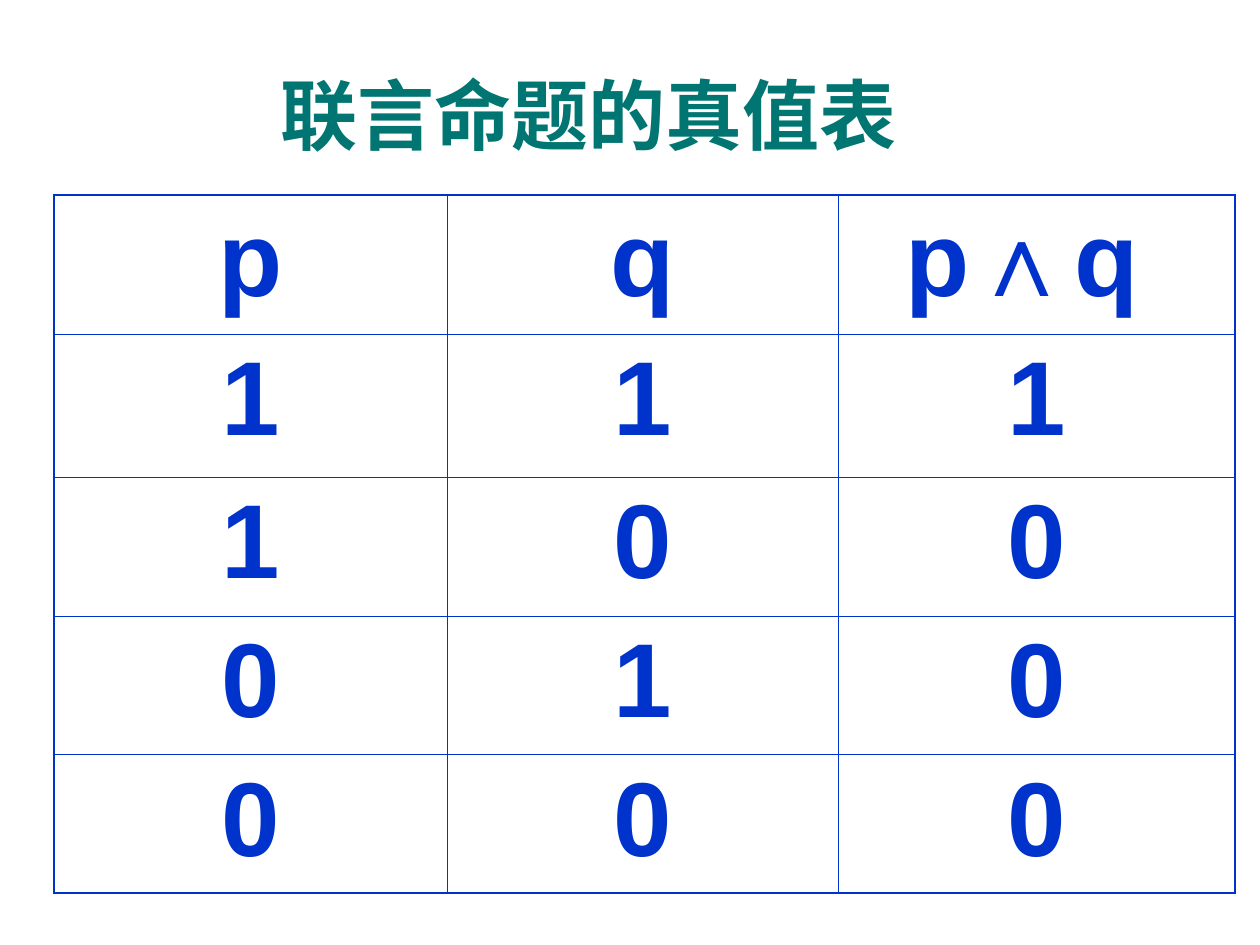
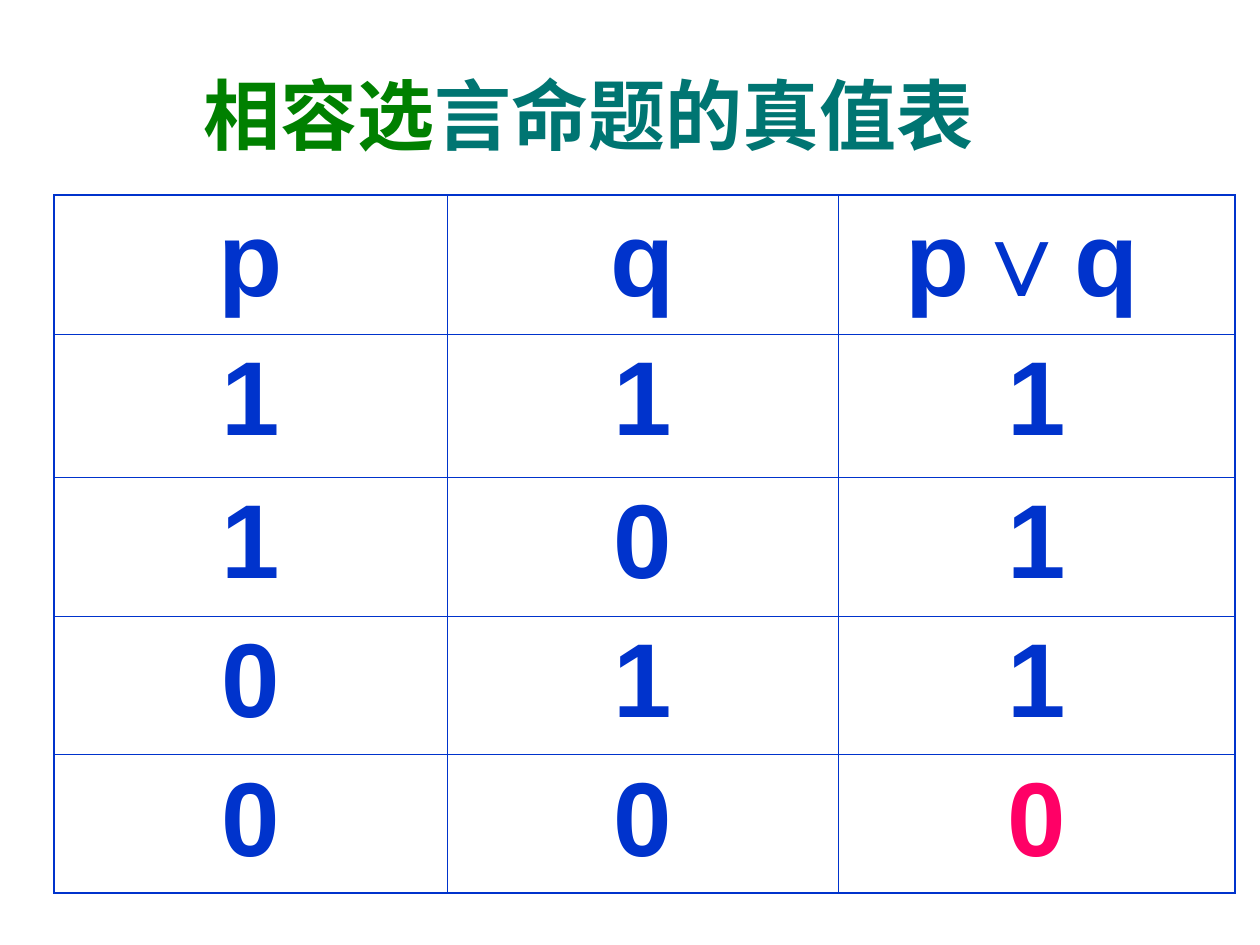
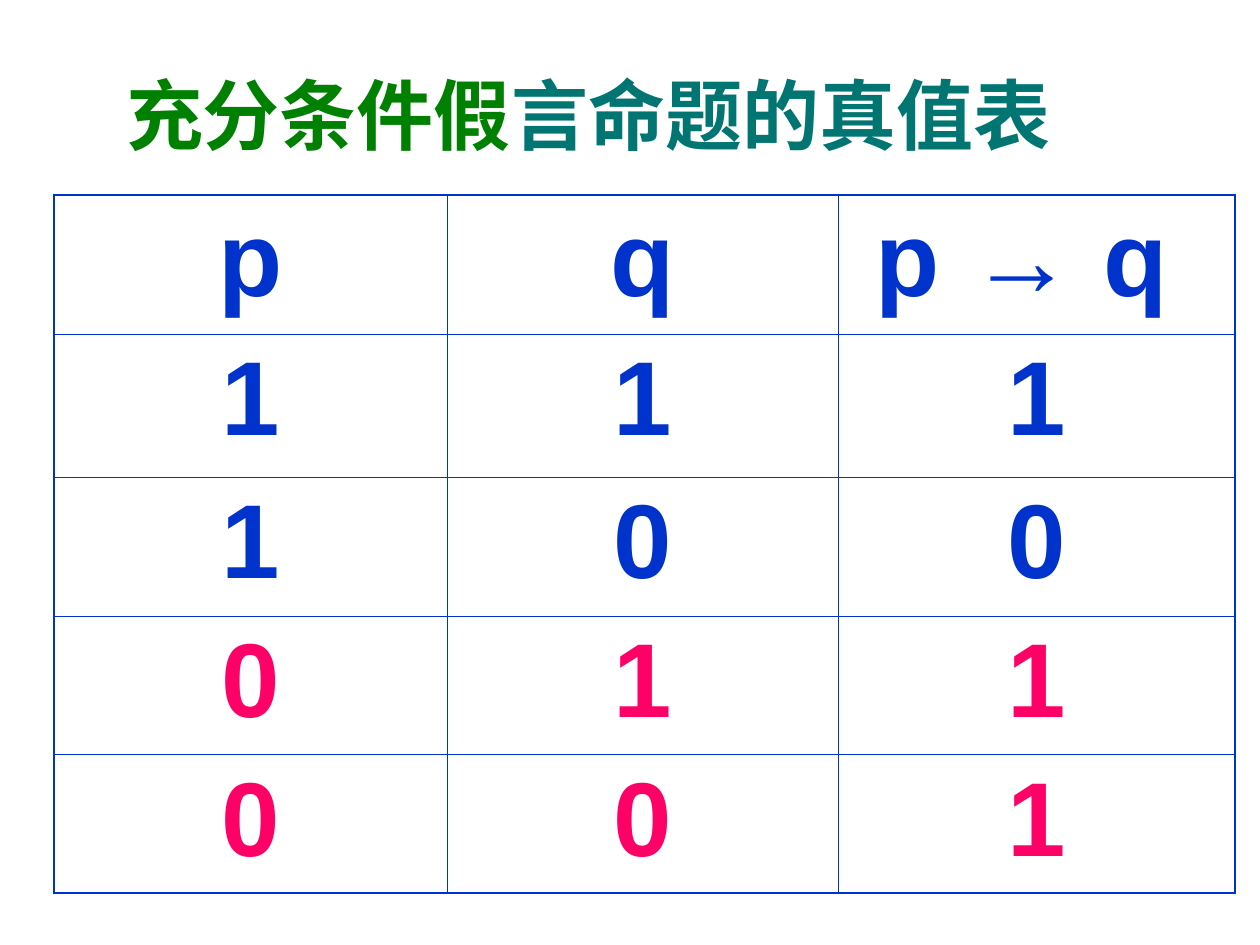
from itertools import product

from lxml import etree
from pptx import Presentation
from pptx.dml.color import RGBColor
from pptx.enum.text import MSO_ANCHOR, MSO_AUTO_SIZE, PP_ALIGN
from pptx.oxml.ns import qn
from pptx.util import Inches, Pt

TEAL = RGBColor(0x00, 0x75, 0x72)
GREEN = RGBColor(0x00, 0x80, 0x00)
BLUE = RGBColor(0x00, 0x33, 0xCC)
PINK = RGBColor(0xFF, 0x00, 0x66)

FONT = "Arial"
COLUMN_WIDTHS = [3.12, 3.1, 3.15]
ROW_HEIGHTS = [1.1, 1.14, 1.1, 1.1, 1.1]
TABLE_LEFT, TABLE_TOP = 0.43, 1.55
INNER_LINE, OUTER_LINE = Pt(0.45), Pt(1.08)

TITLE_ENDING = "言命题的真值表"
# Title start and its colour, compound formula, its truth function, pink (row, column) cells
TRUTH_TABLES = [
    ("联", TEAL, "p∧q ", min, set()),
    ("相容选", GREEN, "p∨q ", max, {(4, 2)}),
    ("充分条件假", GREEN, "p → q ", lambda p, q: max(1 - p, q),
     set(product((3, 4), range(3)))),
]


def add_text(paragraph, text, *, size, color, bold=True):
    paragraph.alignment = PP_ALIGN.CENTER
    run = paragraph.add_run()
    run.text = text
    run.font.name = FONT
    run.font.size = Pt(size)
    run.font.bold = bold
    run.font.color.rgb = color


def set_borders(cell, widths):
    """Draw the left, right, top and bottom borders, which must precede the fill."""
    properties = cell._tc.get_or_add_tcPr()
    for position, (side, width) in enumerate(zip("LRTB", widths)):
        line = etree.Element(qn(f"a:ln{side}"), w=str(width))
        fill = etree.SubElement(line, qn("a:solidFill"))
        etree.SubElement(fill, qn("a:srgbClr"), val=str(BLUE))
        properties.insert(position, line)


presentation = Presentation()
presentation.slide_width = Inches(10)
presentation.slide_height = Inches(7.5)
title_only = presentation.slide_layouts[5]

for title_start, start_color, formula, truth_function, pink_cells in TRUTH_TABLES:
    slide = presentation.slides.add_slide(title_only)

    title = slide.shapes.title
    title.left, title.top = Inches(0), Inches(0.28)
    title.width, title.height = Inches(9.34), Inches(1.25)
    title_frame = title.text_frame
    title_frame.word_wrap = True
    title_frame.auto_size = MSO_AUTO_SIZE.NONE
    title_frame.vertical_anchor = MSO_ANCHOR.MIDDLE
    title_paragraph = title_frame.paragraphs[0]
    add_text(title_paragraph, title_start, size=44, color=start_color)
    add_text(title_paragraph, TITLE_ENDING, size=44, color=TEAL)

    rows = [("p", "q", formula)]
    rows += [(p, q, truth_function(p, q)) for p, q in product((1, 0), repeat=2)]
    last_row, last_column = len(rows) - 1, len(COLUMN_WIDTHS) - 1

    table = slide.shapes.add_table(
        len(rows), len(COLUMN_WIDTHS), Inches(TABLE_LEFT), Inches(TABLE_TOP),
        Inches(sum(COLUMN_WIDTHS)), Inches(sum(ROW_HEIGHTS))).table
    table.first_row = False
    table.horz_banding = False
    for column, width in zip(table.columns, COLUMN_WIDTHS):
        column.width = Inches(width)
    for row, height in zip(table.rows, ROW_HEIGHTS):
        row.height = Inches(height)

    for row_index, values in enumerate(rows):
        for column_index, value in enumerate(values):
            cell = table.cell(row_index, column_index)
            cell.fill.background()
            on_edge = (column_index == 0, column_index == last_column,
                       row_index == 0, row_index == last_row)
            set_borders(cell, [OUTER_LINE if edge else INNER_LINE for edge in on_edge])
            color = PINK if (row_index, column_index) in pink_cells else BLUE
            add_text(cell.text_frame.paragraphs[0], str(value), size=60, color=color)

presentation.save("out.pptx")
